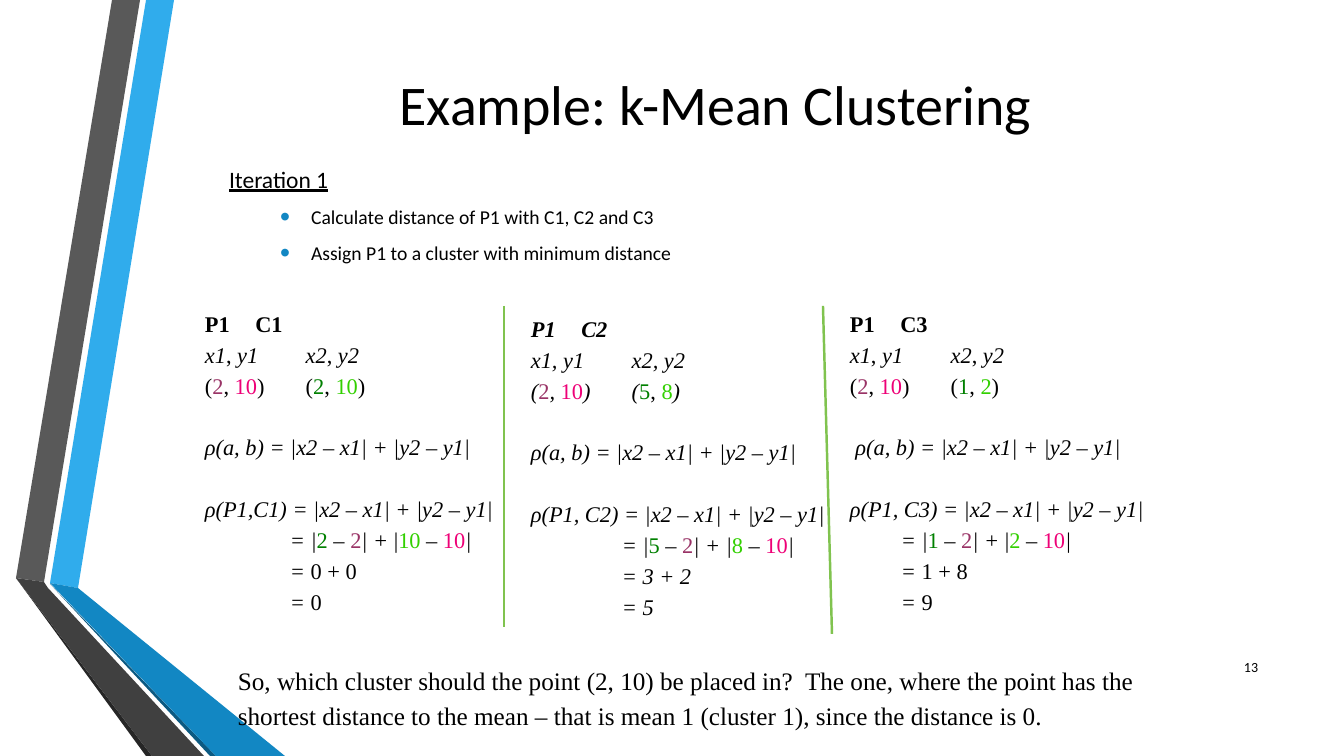
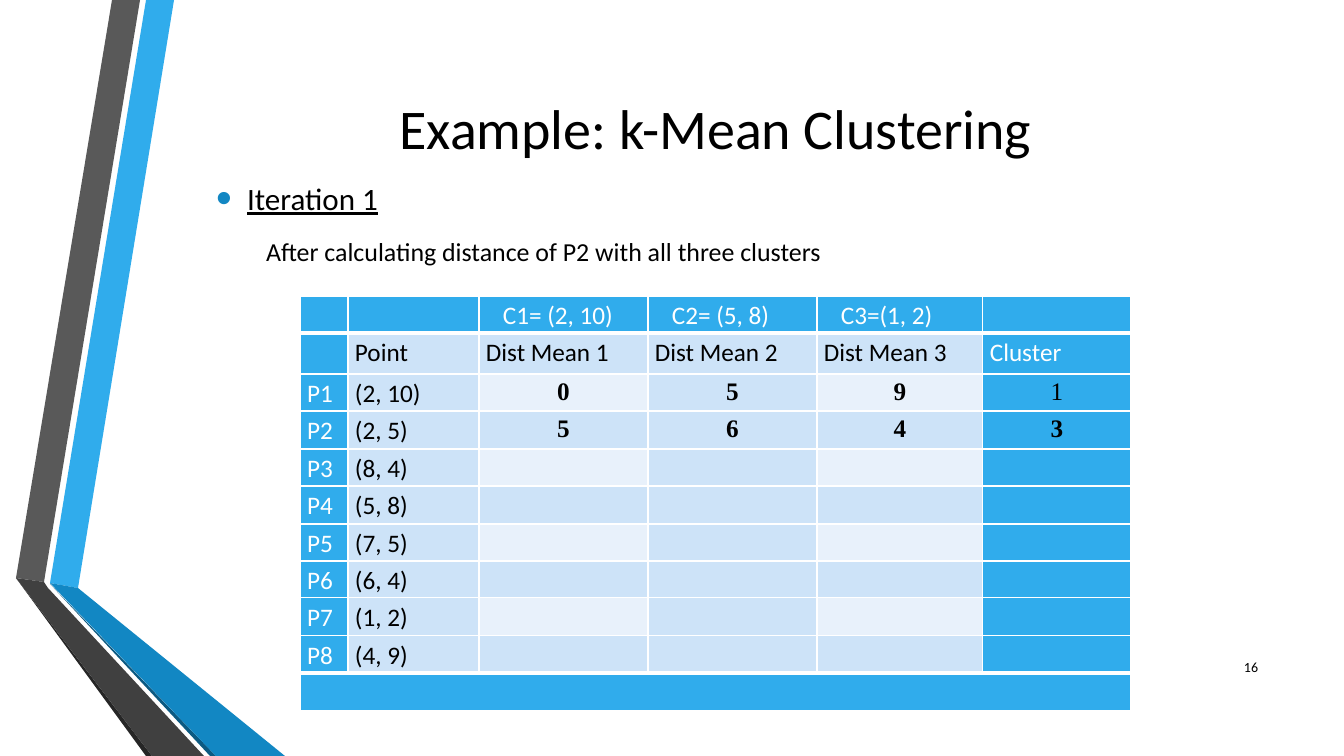
import lxml.etree
import pptx
import pptx.dml.color
import pptx.enum.shapes
import pptx.enum.text
import pptx.oxml.ns
import pptx.util

PIXEL = 12192000 / 1344
COLOURS = {
    "black": "000000", "white": "FFFFFF", "sky": "30ACEC", "ocean": "1287C3",
    "navy": "0C5A82", "grey": "595959", "charcoal": "404040", "soot": "262626",
    "rule": "80C34F", "pale": "CDE3F8", "paler": "E8F1FB",
    "point_x": "993366", "point_y": "EE0077", "mean_x": "008000", "mean_y": "32D000",
}
SANS, SERIF = "Calibri", "Times New Roman"
RIBBONS = [
    ("sky", [(50, 583), (78, 588), (174, 0), (146, 0)]),
    ("grey", [(140, 0), (112, 0), (16, 578), (44, 582)]),
    ("soot", [(16, 578), (146, 756), (152, 756)]),
    ("navy", [(50, 584), (210, 756), (216, 756)]),
    ("ocean", [(50, 583), (216, 756), (285, 756), (78, 588)]),
    ("charcoal", [(204, 756), (48, 588), (44, 582), (16, 578), (152, 756)]),
]
ALIGN = pptx.enum.text.PP_ALIGN
MIDDLE = pptx.enum.text.MSO_ANCHOR.MIDDLE
POINTS = [(2, 10), (2, 5), (8, 4), (5, 8), (7, 5), (6, 4), (1, 2), (4, 9)]
RESULTS = {2: ["0", "5", "9", "1"], 3: ["5", "6", "4", "3"]}


def emu(pixels):
    """Turn pixels into EMU."""
    return pptx.util.Emu(round(pixels * PIXEL))


def rgb(name):
    """Look up a named colour."""
    return pptx.dml.color.RGBColor.from_string(COLOURS[name])


def add_xml(parent, tag, **attributes):
    """Append a DrawingML element."""
    return lxml.etree.SubElement(parent, pptx.oxml.ns.qn("a:" + tag), attributes)


def add_span(para, text, size=16, font=SANS, colour="black", bold=False, italic=False,
             underline=False):
    """Append formatted text to a paragraph."""
    span = para.add_run()
    span.text = text
    style = span.font
    style.size, style.name = pptx.util.Pt(size), font
    style.bold, style.italic, style.underline = bold, italic, underline
    style.color.rgb = rgb(colour)


def next_para(frame):
    """Return the unused first paragraph or a new one."""
    first = frame.paragraphs[0]
    return first if not first.runs else frame.add_paragraph()


def set_indent(para, left, hanging=0):
    """Set the left margin and hanging indent of a paragraph."""
    properties = para._p.get_or_add_pPr()
    properties.set("marL", str(emu(left)))
    properties.set("indent", str(-emu(hanging)))
    return properties


def place(box, left, top, width, height):
    """Position a shape in pixels."""
    box.left, box.top, box.width, box.height = map(emu, (left, top, width, height))


def add_text_box(page, *bounds):
    """Add a wrapping text box and return its text frame."""
    frame = page.shapes.add_textbox(*map(emu, bounds)).text_frame
    frame.word_wrap = True
    return frame


def add_ribbons(page):
    """Draw the folded ribbons behind everything else."""
    for index, (colour, corners) in enumerate(RIBBONS):
        builder = page.shapes.build_freeform(*corners[0], scale=PIXEL)
        builder.add_line_segments(corners[1:], close=True)
        ribbon = builder.convert_to_shape()
        ribbon.shadow.inherit = False
        ribbon.fill.solid()
        ribbon.fill.fore_color.rgb = rgb(colour)
        ribbon.line.fill.background()
        page.shapes.element.insert(2 + index, ribbon.element)


def add_page(deck, number, title_top):
    """Add a slide with ribbons, title and page number."""
    page = deck.slides.add_slide(deck.slide_layouts[1])
    add_ribbons(page)
    title = page.shapes.title
    place(title, 163, title_top, 1105, 194)
    title.text_frame.auto_size = pptx.enum.text.MSO_AUTO_SIZE.NONE
    title.text_frame.vertical_anchor = MIDDLE
    heading = title.text_frame.paragraphs[0]
    heading.alignment = ALIGN.CENTER
    add_span(heading, "Example: k-Mean Clustering", size=40)
    frame = add_text_box(page, 1208, 647, 60, 40)
    frame.vertical_anchor = MIDDLE
    frame.paragraphs[0].alignment = ALIGN.RIGHT
    add_span(frame.paragraphs[0], str(number), size=10)
    return page


def body_frame(page, *bounds):
    """Position the body placeholder and return its text frame."""
    body = page.placeholders[1]
    place(body, *bounds)
    frame = body.text_frame
    frame.auto_size = pptx.enum.text.MSO_AUTO_SIZE.NONE
    frame.vertical_anchor = MIDDLE
    return frame


def add_item(frame, text, left=0, hanging=0, level=0, before=None, **style):
    """Add a body paragraph, bulleted when it has a hanging indent."""
    para = next_para(frame)
    para.level = level
    para.space_after = pptx.util.Pt(6)
    if before is not None:
        para.space_before = pptx.util.Pt(before)
    properties = set_indent(para, left, hanging)
    if hanging:
        add_xml(add_xml(properties, "buClr"), "srgbClr", val=COLOURS["ocean"])
        add_xml(properties, "buSzPct", val="145000")
        add_xml(properties, "buFont", typeface="Arial")
        add_xml(properties, "buChar", char="•")
    else:
        add_xml(properties, "buNone")
    add_span(para, text, **style)


def add_rule(page, *ends):
    """Draw a column divider."""
    rule = page.shapes.add_connector(pptx.enum.shapes.MSO_CONNECTOR.STRAIGHT, *map(emu, ends))
    rule.line.color.rgb = rgb("rule")
    rule.line.width = pptx.util.Pt(1.75)
    add_xml(rule.element.spPr, "effectLst")


def add_math(frame, pieces, before=0, indent=0, **style):
    """Add a formula line from (text, colour, italic) pieces."""
    para = next_para(frame)
    para.line_spacing = 1.15
    para.space_before = pptx.util.Pt(before)
    tabs = add_xml(set_indent(para, indent), "tabLst")
    for stop in (50, 101):
        add_xml(tabs, "tab", pos=str(emu(stop)), algn="l")
    for text, colour, italic in pieces:
        add_span(para, text, font=SERIF, colour=colour, italic=italic, **style)


def add_distance(page, bounds, mean, pair, centre, indent, slanted=False, lead=""):
    """Work out the distance from P1 to one cluster mean."""
    frame = add_text_box(page, *bounds)
    point = POINTS[0]
    point_x, point_y = (str(value) for value in point)
    mean_x, mean_y = (str(value) for value in centre)
    steps = [abs(end - start) for start, end in zip(point, centre)]
    formula = " = |x2 – x1| + |y2 – y1|"
    add_math(frame, [("P1\t" + mean, "black", slanted)], bold=True)
    add_math(frame, [("x1", "black", True), (", ", "black", slanted), ("y1\tx2", "black", True),
                     (", ", "black", slanted), ("y2", "black", True)])
    add_math(frame, [("(", "black", slanted), (point_x, "point_x", False),
                     (", ", "black", slanted), (point_y, "point_y", False),
                     (")\t(", "black", slanted), (mean_x, "mean_x", False),
                     (", ", "black", False), (mean_y, "mean_y", False),
                     (")", "black", slanted)])
    add_math(frame, [(lead + "ρ(a, b)" + formula, "black", True)], before=22)
    add_math(frame, [("ρ(" + pair + ")" + formula, "black", True)], before=22)
    add_math(frame, [("= |", "black", True), (mean_x, "mean_x", False), (" – ", "black", True),
                     (point_x, "point_x", False), ("| + ", "black", True),
                     ("|", "black", slanted), (mean_y, "mean_y", False), (" – ", "black", True),
                     (point_y, "point_y", False), ("|", "black", True)], indent=indent)
    for value in (f"{steps[0]} + {steps[1]}", str(sum(steps))):
        add_math(frame, [("= ", "black", True), (value, "black", slanted)], indent=indent)


def cell_fill(row, column, last):
    """Choose the fill of a table cell."""
    if row in (0, last) or column in (0, 5):
        return "sky"
    return "paler" if row > 1 and row % 2 == 0 and column in (2, 4) else "pale"


def format_cell(cell, text, row, column, last):
    """Fill, border and write one table cell."""
    cell.margin_left = cell.margin_right = emu(7)
    cell.margin_top = cell.margin_bottom = 0
    properties = cell._tc.get_or_add_tcPr()
    for side in "LRTB":
        thick = (row, side) in ((0, "B"), (last, "T"))
        edge = add_xml(properties, "ln" + side, w=str(pptx.util.Pt(3 if thick else 1)))
        add_xml(add_xml(edge, "solidFill"), "srgbClr", val=COLOURS["white"])
    colour = cell_fill(row, column, last)
    cell.fill.solid()
    cell.fill.fore_color.rgb = rgb(colour)
    if not text:
        return
    para = cell.text_frame.paragraphs[0]
    para.line_spacing = 1.15
    if row == 0:
        set_indent(para, 17)
    if row in RESULTS and column > 1:
        para.alignment = ALIGN.CENTER
        add_span(para, text, size=18, font=SERIF, bold=(row, column) != (2, 5))
    else:
        add_span(para, text, size=18, colour="white" if colour == "sky" else "black")


def add_distance_table(page):
    """Add the table of distances to the three means."""
    rows = [["", "", "C1= (2, 10)", "C2= (5, 8)", "C3=(1, 2)", ""],
            ["", "Point", "Dist Mean 1", "Dist Mean 2", "Dist Mean 3", "Cluster"]]
    for number, (x, y) in enumerate(POINTS, start=1):
        rows.append([f"P{number}", f"({x}, {y})"] + RESULTS.get(number + 1, [""] * 4))
    rows.append([""] * 6)
    last = len(rows) - 1
    widths = [48, 131, 169, 169, 166, 148]
    edges = [296, 333] + [374 + round(37.4 * step) for step in range(last)]
    bounds = (300, edges[0], sum(widths), edges[-1] - edges[0])
    table = page.shapes.add_table(len(rows), len(widths), *map(emu, bounds)).table
    table.first_row = table.horz_banding = False
    for column, width in zip(table.columns, widths):
        column.width = emu(width)
    for index, texts in enumerate(rows):
        table.rows[index].height = emu(edges[index + 1] - edges[index])
        for column, text in enumerate(texts):
            format_cell(table.cell(index, column), text, index, column, last)
    table.cell(last, 0).merge(table.cell(last, 5))


def build_calculation(deck):
    """Build the slide that compares P1 with each mean."""
    page = add_page(deck, 13, 6)
    frame = body_frame(page, 219, 181, 907, 109)
    frame.margin_bottom = emu(47)
    add_item(frame, "Iteration 1", size=16.8, underline=True)
    for text in ("Calculate distance of P1 with C1, C2 and C3",
                 "Assign P1 to a cluster with minimum distance"):
        add_item(frame, text, left=82, hanging=31, level=1, size=14)
    add_rule(page, 504, 306, 504, 627)
    add_rule(page, 823, 306, 832, 634)
    add_distance(page, (840, 301, 325, 331), "C3", "P1, C3", (1, 2), 51, lead=" ")
    add_distance(page, (521, 306, 323, 320), "C2", "P1, C2", (5, 8), 91, slanted=True)
    add_distance(page, (195, 301, 326, 354), "C1", "P1,C1", (2, 10), 85)
    answer = add_text_box(page, 228, 656, 943, 81).paragraphs[0]
    answer.line_spacing = 1.15
    add_span(answer, "So, which cluster should the point (2, 10) be placed in?  The one, where "
             "the point has the shortest distance to the mean – that is mean 1 (cluster 1), "
             "since the distance is 0.", size=18, font=SERIF)


def build_results(deck):
    """Build the slide with the distance table."""
    page = add_page(deck, 16, 30)
    frame = body_frame(page, 206, 175, 780, 96)
    add_item(frame, "Iteration 1", left=31, hanging=31, size=22.2, underline=True)
    add_item(frame, "After calculating distance of P2 with all three clusters", left=50,
             before=8, size=18.5)
    add_distance_table(page)


def main():
    """Build and save the deck."""
    deck = pptx.Presentation()
    deck.slide_width, deck.slide_height = emu(1344), emu(756)
    build_calculation(deck)
    build_results(deck)
    deck.save("out.pptx")


main()
